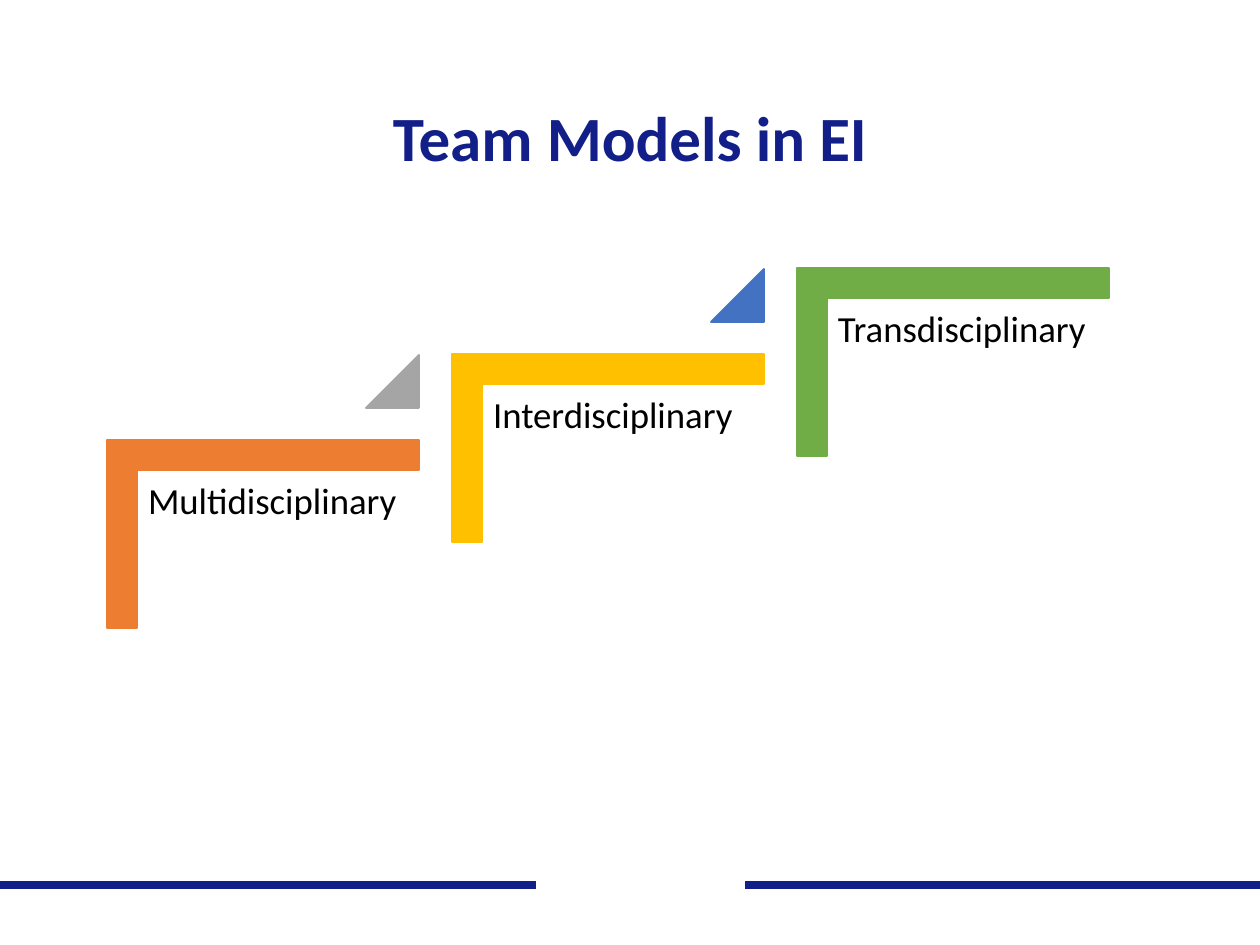
import pptx
import pptx.util
import pptx.dml.color
import pptx.enum.shapes
import pptx.enum.text
import pptx.oxml

RGB = pptx.dml.color.RGBColor
SHAPE = pptx.enum.shapes.MSO_SHAPE
ALIGN = pptx.enum.text.PP_ALIGN
ANCHOR = pptx.enum.text.MSO_ANCHOR

NAVY = RGB(0x12, 0x1F, 0x88)
WHITE = RGB(0xFF, 0xFF, 0xFF)
BLACK = RGB(0, 0, 0)
ORANGE = RGB(0xED, 0x7D, 0x31)
GRAY = RGB(0xA5, 0xA5, 0xA5)
GOLD = RGB(0xFF, 0xC0, 0x00)
BLUE = RGB(0x43, 0x72, 0xC3)
GREEN = RGB(0x70, 0xAD, 0x47)

# Content: label, step colour, colour of the triangle leading to the next step
TITLE = "Team Models in EI"
STEPS = [
    ("Multidisciplinary", ORANGE, GRAY),
    ("Interdisciplinary", GOLD, BLUE),
    ("Transdisciplinary", GREEN, None),
]
RULES = [(0, 1260, NAVY), (536, 745, WHITE)]  # start, end, colour
RULE_Y = 885
STEP_X, STEP_Y = 345, -86  # shift from one step to the next


def px(n):
    return round(n * 914400 / 126)


def add_text(text, box, size, color=BLACK, bold=False, align=ALIGN.LEFT,
             anchor=ANCHOR.TOP, inset=(11, 11)):
    frame = slide.shapes.add_textbox(*map(px, box)).text_frame
    frame.word_wrap = True
    frame.vertical_anchor = anchor
    frame.margin_left = frame.margin_right = px(inset[0])
    frame.margin_top = frame.margin_bottom = px(inset[1])
    para = frame.paragraphs[0]
    para.text = text
    para.alignment = align
    para.line_spacing = 0.9
    font = para.runs[0].font
    font.name, font.size, font.bold = "Calibri", pptx.util.Pt(size), bold
    font.color.rgb = color


def add_shape(kind, box, color, adjust, turn=0):
    shape = slide.shapes.add_shape(kind, *map(px, box))
    shape.shadow.inherit = False
    shape.rotation = turn
    for i, value in enumerate(adjust):
        shape.adjustments[i] = value
    shape.fill.solid()
    shape.fill.fore_color.rgb = color
    shape.line.color.rgb = color
    shape.line.width = pptx.util.Pt(1)


def add_rule(start, end, color):
    rule = slide.shapes.add_connector(
        pptx.enum.shapes.MSO_CONNECTOR.STRAIGHT,
        px(start), px(RULE_Y), px(end), px(RULE_Y))
    rule.line.color.rgb = color
    rule.line.width = pptx.util.Pt(4.5)
    props = rule._element.spPr
    props.append(props.makeelement(pptx.oxml.ns.qn("a:effectLst"), {}))


deck = pptx.Presentation()
deck.slide_width, deck.slide_height = px(1260), px(945)
slide = deck.slides.add_slide(deck.slide_layouts[6])

# Footer rule with a gap in the middle
for rule in RULES:
    add_rule(*rule)

# Title
add_text(TITLE, (87, 50, 1086, 183), 36, color=NAVY, bold=True,
         align=ALIGN.CENTER, anchor=ANCHOR.MIDDLE, inset=(13, 6))

# Rising steps
for i, (label, color, next_color) in enumerate(STEPS):
    dx, dy = i * STEP_X, i * STEP_Y
    add_shape(SHAPE.CORNER, (169 + dx, 378 + dy, 188, 312), color,
              (0.16, 0.16), turn=90)
    add_text(label, (137 + dx, 472 + dy, 282, 247), 21)
    if next_color:
        add_shape(SHAPE.ISOSCELES_TRIANGLE, (366 + dx, 355 + dy, 53, 53),
                  next_color, (1,))

deck.save("out.pptx")
